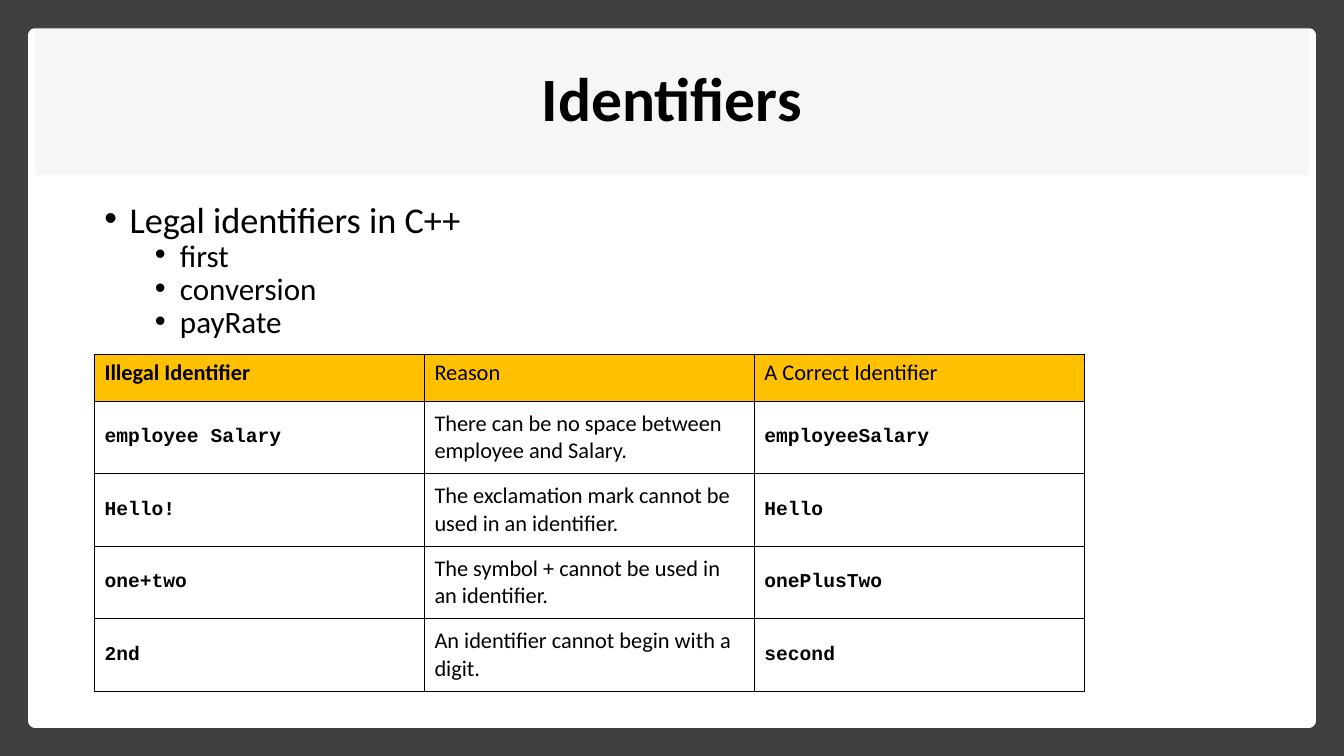
from lxml.etree import SubElement
from pptx import Presentation
from pptx.dml.color import RGBColor
from pptx.enum.shapes import MSO_SHAPE as Shape
from pptx.enum.text import MSO_ANCHOR as Anchor, PP_ALIGN as Align
from pptx.oxml.ns import qn
from pptx.util import Pt

BLACK = RGBColor(0x00, 0x00, 0x00)
WHITE = RGBColor(0xFF, 0xFF, 0xFF)
FRAME_GRAY = RGBColor(0x40, 0x40, 0x40)
BAND_GRAY = RGBColor(0xF6, 0xF6, 0xF6)
AMBER = RGBColor(0xFF, 0xC0, 0x00)

EXAMPLES = [
    ("Illegal Identifier", "Reason", "A Correct Identifier"),
    ("employee Salary", "There can be no space between\nemployee and Salary.", "employeeSalary"),
    ("Hello!", "The exclamation mark cannot be used in an identifier.", "Hello"),
    ("one+two", "The symbol + cannot be used in an identifier.", "onePlusTwo"),
    ("2nd", "An identifier cannot begin with a digit.", "second"),
]
LEGAL = [
    ("Legal identifiers in C++", 0),
    ("first", 1),
    ("conversion", 1),
    ("payRate", 1),
]

prs = Presentation()
prs.slide_width, prs.slide_height = Pt(960), Pt(540)
slide = prs.slides.add_slide(prs.slide_layouts[6])


def add_panel(left, top, width, height, color):
    panel = slide.shapes.add_shape(
        Shape.RECTANGLE, Pt(left), Pt(top), Pt(width), Pt(height))
    panel.shadow.inherit = False
    panel.fill.solid()
    panel.fill.fore_color.rgb = color
    panel.line.fill.background()
    return panel


def style_text(paragraph, size, name="Calibri", bold=False):
    for run in paragraph.runs:
        run.font.size = Pt(size)
        run.font.name = name
        run.font.bold = bold
        run.font.color.rgb = BLACK


# Frame, page and title band
add_panel(0, 0, 960, 540, FRAME_GRAY)
page = add_panel(25.2, 25.2, 909.6, 489.6, WHITE)
page.line.color.rgb = WHITE
page.line.width = Pt(10)

title = add_panel(25.2, 20.7, 909.6, 104.4, BAND_GRAY)
# The frame stays dark above the page, so the band starts at the page edge
title.top, title.height = Pt(20.2), Pt(105)
title.text_frame.text = "Identifiers"
title.text_frame.vertical_anchor = Anchor.MIDDLE
heading = title.text_frame.paragraphs[0]
heading.alignment = Align.CENTER
heading.line_spacing = 0.9
style_text(heading, 44, bold=True)
add_panel(20, 0, 920, 20.2, FRAME_GRAY)

# Legal identifiers
legal = slide.shapes.add_textbox(Pt(67.5), Pt(146), Pt(662.4), Pt(103.7)).text_frame
legal.word_wrap = True
legal.text = "\n".join(text for text, _ in LEGAL)
for paragraph, (_, level) in zip(legal.paragraphs, LEGAL):
    paragraph.level = level
    paragraph.line_spacing = 0.7
    paragraph.space_before = Pt(5 if level else 10)
    style_text(paragraph, 22.2 if level else 25.9)
    props = paragraph._p.get_or_add_pPr()
    props.set("marL", str(Pt(18 + 36 * level)))
    props.set("indent", str(-Pt(18)))
    SubElement(props, qn("a:buFont"), typeface="Arial")
    SubElement(props, qn("a:buChar"), char="•")

# Illegal identifiers with their corrections
examples = slide.shapes.add_table(
    len(EXAMPLES), 3, Pt(67.5), Pt(253.2), Pt(707.1), Pt(240.6)).table
for column in examples.columns:
    column.width = Pt(235.7)
for r, texts in enumerate(EXAMPLES):
    is_header = r == 0
    examples.rows[r].height = Pt(33.4 if is_header else 51.8)
    for c, text in enumerate(texts):
        cell = examples.cell(r, c)
        cell.text_frame.text = text
        cell.vertical_anchor = Anchor.TOP if is_header else Anchor.MIDDLE
        is_code = not is_header and c != 1
        for paragraph in cell.text_frame.paragraphs:
            if is_code:
                style_text(paragraph, 14, "Courier New", bold=True)
            else:
                style_text(paragraph, 16, bold=is_header and c == 0)
        props = cell._tc.get_or_add_tcPr()
        for side in ("lnL", "lnR", "lnT", "lnB"):
            border = SubElement(props, qn(f"a:{side}"), w=str(Pt(1)))
            line_fill = SubElement(border, qn("a:solidFill"))
            SubElement(line_fill, qn("a:srgbClr"), val=str(BLACK))
        cell.fill.solid()
        cell.fill.fore_color.rgb = AMBER if is_header else WHITE

prs.save("out.pptx")
